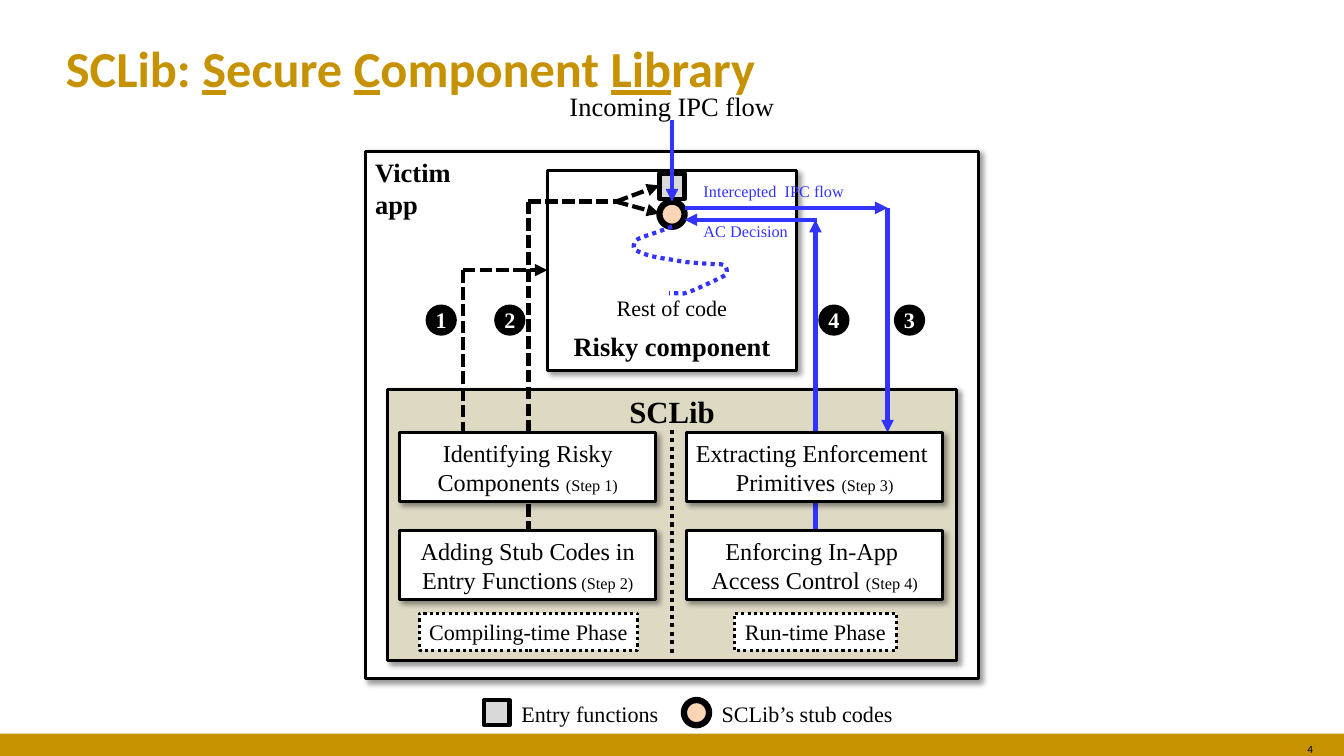
import pptx
import pptx.util
import pptx.dml.color
import pptx.enum.dml
import pptx.enum.shapes
import pptx.enum.text
import pptx.oxml
import pptx.oxml.ns

Pt = pptx.util.Pt
RGB = pptx.dml.color.RGBColor
KIND = pptx.enum.shapes.MSO_SHAPE
STRAIGHT = pptx.enum.shapes.MSO_CONNECTOR.STRAIGHT
DOT = pptx.enum.dml.MSO_LINE.ROUND_DOT
DASH = pptx.enum.dml.MSO_LINE.SQUARE_DOT
ALIGN = pptx.enum.text.PP_ALIGN
LEFT, MID, RIGHT = ALIGN.LEFT, ALIGN.CENTER, ALIGN.RIGHT
ANCHOR = pptx.enum.text.MSO_ANCHOR
TOP, CENTER, BOTTOM = ANCHOR.TOP, ANCHOR.MIDDLE, ANCHOR.BOTTOM

GOLD = RGB(0xC6, 0x92, 0x00)
BLACK = RGB(0, 0, 0)
WHITE = RGB(0xFF, 0xFF, 0xFF)
TAN = RGB(0xDD, 0xD9, 0xC3)
GRAY = RGB(0xD9, 0xD9, 0xD9)
PEACH = RGB(0xFC, 0xD5, 0xB5)
BLUE = RGB(0x33, 0x33, 0xFF)
SERIF, SANS = "Times New Roman", "Calibri"
BIG, STEP, BODY, SMALL = 18.9, 17.3, 15.8, 11.6
NS = pptx.oxml.ns.nsdecls("a")
SHADE = (f'<a:outerShdw {NS} blurRad="50800" dist="38100" dir="2700000" algn="tl" '
         'rotWithShape="0"><a:srgbClr val="000000"><a:alpha val="40000"/>'
         '</a:srgbClr></a:outerShdw>')


def write(shape, lines, color=BLACK, bold=False, align=MID, anchor=TOP, pad=(0, 3.6), font=SERIF):
    """Fill a shape with paragraphs made of (text, size, underline) runs."""
    frame = shape.text_frame
    frame.word_wrap = True
    frame.vertical_anchor = anchor
    frame.margin_left = frame.margin_right = Pt(pad[0])
    frame.margin_top = frame.margin_bottom = Pt(pad[1])
    for i, runs in enumerate(lines):
        para = frame.paragraphs[0] if i == 0 else frame.add_paragraph()
        para.alignment = align
        for words, size, *under in runs:
            run = para.add_run()
            run.text = words
            run.font.size = Pt(size)
            run.font.name = font
            run.font.bold = bold
            run.font.color.rgb = color
            if under:
                run.font.underline = True


def label(slide, box, lines, **style):
    """Add a text box."""
    write(slide.shapes.add_textbox(*map(Pt, box)), lines, **style)


def block(slide, box, fill, width=2.25, kind=KIND.RECTANGLE, dash=None, shade=False):
    """Add a filled shape with a black outline, or none if the width is 0."""
    shape = slide.shapes.add_shape(kind, *map(Pt, box))
    shape.shadow.inherit = False
    shape.fill.solid()
    shape.fill.fore_color.rgb = fill
    if width:
        stroke(shape.line, BLACK, width, dash)
    else:
        shape.line.fill.background()
    if shade:
        effects = shape._element.spPr.find(pptx.oxml.ns.qn("a:effectLst"))
        effects.append(pptx.oxml.parse_xml(SHADE))
    return shape


def stroke(line, color, width=3, dash=None):
    """Set colour, width and dash of a line."""
    line.color.rgb = color
    line.width = Pt(width)
    if dash:
        line.dash_style = dash


def link(slide, start, end, color=BLUE, dash=None, arrow=True):
    """Add a straight line, with an arrowhead at its end if asked."""
    line = slide.shapes.add_connector(STRAIGHT, *map(Pt, (*start, *end)))
    stroke(line.line, color, dash=dash)
    if arrow:
        line.line._get_or_add_ln().append(
            pptx.oxml.parse_xml(f'<a:tailEnd {NS} type="triangle"/>'))
    line._element.spPr.append(pptx.oxml.parse_xml(f"<a:effectLst {NS}/>"))


def entry(slide, x, y):
    """Draw the mark of an entry function."""
    block(slide, (x, y, 18, 18), GRAY, 3)


def stub(slide, x, y):
    """Draw the mark of a stub code."""
    block(slide, (x, y, 18, 18), PEACH, 4.5, KIND.OVAL)


def squiggle(slide, x, y):
    """Draw the dotted path through the rest of the code as a smooth curve."""
    knots = [(0, 0), (-12, 4.3), (-24, 8.6), (-27, 12.2), (-26, 16.6), (-14.5, 21),
             (1.5, 23.8), (10, 25.2), (27.5, 26.6), (37, 27.4), (39, 33), (34, 36.7),
             (11.5, 46.8), (3, 47.5), (-2, 47.5)]
    ends = [knots[0], *knots, knots[-1]]
    dots = []
    for a, b, c, d in zip(ends, ends[1:], ends[2:], ends[3:]):
        for t in (0.25, 0.5, 0.75, 1):
            dots.append([q + ((r - p) * t + (2 * p - 5 * q + 4 * r - s) * t ** 2
                              + (3 * q - p - 3 * r + s) * t ** 3) / 2
                         for p, q, r, s in zip(a, b, c, d)])
    path = slide.shapes.build_freeform(Pt(x), Pt(y))
    path.add_line_segments([(Pt(x + dx), Pt(y + dy)) for dx, dy in dots], close=False)
    curve = path.convert_to_shape()
    curve.shadow.inherit = False
    curve.fill.background()
    stroke(curve.line, BLUE, dash=DOT)


def frame(slide, box):
    """Draw the title, the bottom bar and the page number."""
    x, y, w, h = box
    label(slide, (x + 40, y + 23, w - 88, 50.4),
          [[("SCLib: ", 36), ("S", 36, True), ("ecure ", 36), ("C", 36, True),
            ("omponent ", 36), ("Lib", 36, True), ("rary", 36)]],
          color=GOLD, bold=True, align=LEFT, anchor=CENTER, pad=(7.2, 3.6), font=SANS)
    block(slide, (x, y + h - 16, w, 18), GOLD, 0)
    label(slide, (x + w - 151, y + h - 13, 136, 18), [[("4", 8)]],
          align=RIGHT, pad=(7.2, 3.6), font=SANS)


def victim(slide, box):
    """Draw the outer box of the app."""
    x, y, w, h = box
    block(slide, box, WHITE, shade=True)
    label(slide, (x + 7, y - 0.5, 60, 53), [[("Victim", BIG)], [("app", BIG)]],
          bold=True, align=LEFT, anchor=CENTER)


def risky(slide, box):
    """Draw the risky component with its marks and path."""
    x, y, w, h = box
    mid = x + w / 2
    write(block(slide, box, WHITE, shade=True), [[("Risky component", BIG)]],
          bold=True, anchor=BOTTOM, pad=(2.2, 5.8))
    entry(slide, mid - 9, y + 2)
    stub(slide, mid - 9, y + 22)
    squiggle(slide, mid, y + 40)
    label(slide, (mid - 65, y + 84.5, 130, 26.6), [[("Rest of code", BODY)]])


def panel(slide, box):
    """Draw the library panel with its divider and phases."""
    x, y, w, h = box
    mid = x + w / 2
    write(block(slide, box, TAN, shade=True), [[("SCLib", 22)]], bold=True, pad=(7.2, 2.2))
    link(slide, (mid, y + 29), (mid, y + h - 3), BLACK, DOT, False)
    for side, wide, name in ((-1, 156, "Compiling-time Phase"), (1, 116, "Run-time Phase")):
        phase = block(slide, (mid + side * 102.5 - wide / 2, y + 160, wide, 26.6),
                      WHITE, dash=DOT)
        write(phase, [[(name, BODY)]], anchor=CENTER)


def steps(slide, box):
    """Draw the two by two grid of steps."""
    x, y, w, h = box
    names = [
        [[("Identifying Risky Components ", STEP), ("(Step 1)", SMALL)]],
        [[("Adding Stub Codes in Entry Functions", STEP), (" (Step 2)", SMALL)]],
        [[("Extracting Enforcement ", STEP)], [("Primitives ", STEP), ("(Step 3)", SMALL)]],
        [[("Enforcing In-App ", STEP)], [("Access Control ", STEP), ("(Step 4)", SMALL)]]]
    for i, lines in enumerate(names):
        col, row = divmod(i, 2)
        spot = (x + 8.5 + col * 205, y + 31 + row * 70, 183, 49)
        write(block(slide, spot, WHITE, shade=True), lines, anchor=CENTER, pad=(0, 5.8))


def flows(slide, box):
    """Draw the flows between steps and component, with badges and labels."""
    x, y, w, h = box
    mid = x + w / 2
    label(slide, (mid - 76, y - 47, 152, 30), [[("Incoming IPC flow", BIG)]])
    moves = [
        ((219, -22.5), (219, 36), BLUE, None, True),
        ((69.5, 85), (130, 85), BLACK, DASH, True),
        ((69.5, 85), (69.5, 201), BLACK, DASH, False),
        ((116.5, 36), (181, 36), BLACK, DASH, False),
        ((116.5, 36), (116.5, 270.5), BLACK, DASH, False),
        ((179, 36), (210, 24.5), BLACK, DASH, True),
        ((179, 36), (210, 44.5), BLACK, DASH, True),
        ((228, 40.5), (373, 40.5), BLUE, None, True),
        ((373, 40.5), (373, 201), BLUE, None, True),
        ((321.5, 270.5), (321.5, 49), BLUE, None, True),
        ((322.5, 49), (228, 49), BLUE, None, True)]
    for (ax, ay), (bx, by), color, dash, arrow in moves:
        link(slide, (x + ax, y + ay), (x + bx, y + by), color, dash, arrow)
    for i, left in enumerate((43, 92, 377.5, 323.5), 1):
        badge = block(slide, (x + left, y + 109.5, 22.3, 22.3), BLACK, 0, KIND.OVAL)
        write(badge, [[(str(i), BODY)]], WHITE, True, anchor=CENTER, pad=(0, 0))
    for words, top, wide in (("Intercepted  IPC flow", 18, 134), ("AC Decision", 46.5, 89)):
        label(slide, (x + 241.5, y + top, wide, 21.6), [[(words, SMALL)]],
              color=BLUE, align=LEFT)


def legend(slide, box):
    """Draw the key to both marks."""
    x, y, w, h = box
    entry(slide, x, y + 3)
    label(slide, (x + 17.5, y, 107, h), [[("Entry functions", BODY)]], align=RIGHT)
    stub(slide, x + 142.5, y + 3)
    label(slide, (x + 169.5, y, 130, h), [[("SCLib’s stub codes", BODY)]], align=LEFT)


def main():
    """Build and save the deck."""
    deck = pptx.Presentation()
    deck.slide_width, deck.slide_height = Pt(960), Pt(540)
    slide = deck.slides.add_slide(deck.slide_layouts[6])
    app, lib = (261, 108, 438, 377), (277, 278, 406, 194)
    frame(slide, (0, 0, 960, 540))
    victim(slide, app)
    panel(slide, lib)
    risky(slide, (391, 122, 178, 142.5))
    flows(slide, app)
    steps(slide, lib)
    legend(slide, (346, 497, 300, 26.6))
    deck.save("out.pptx")


if __name__ == "__main__":
    main()
